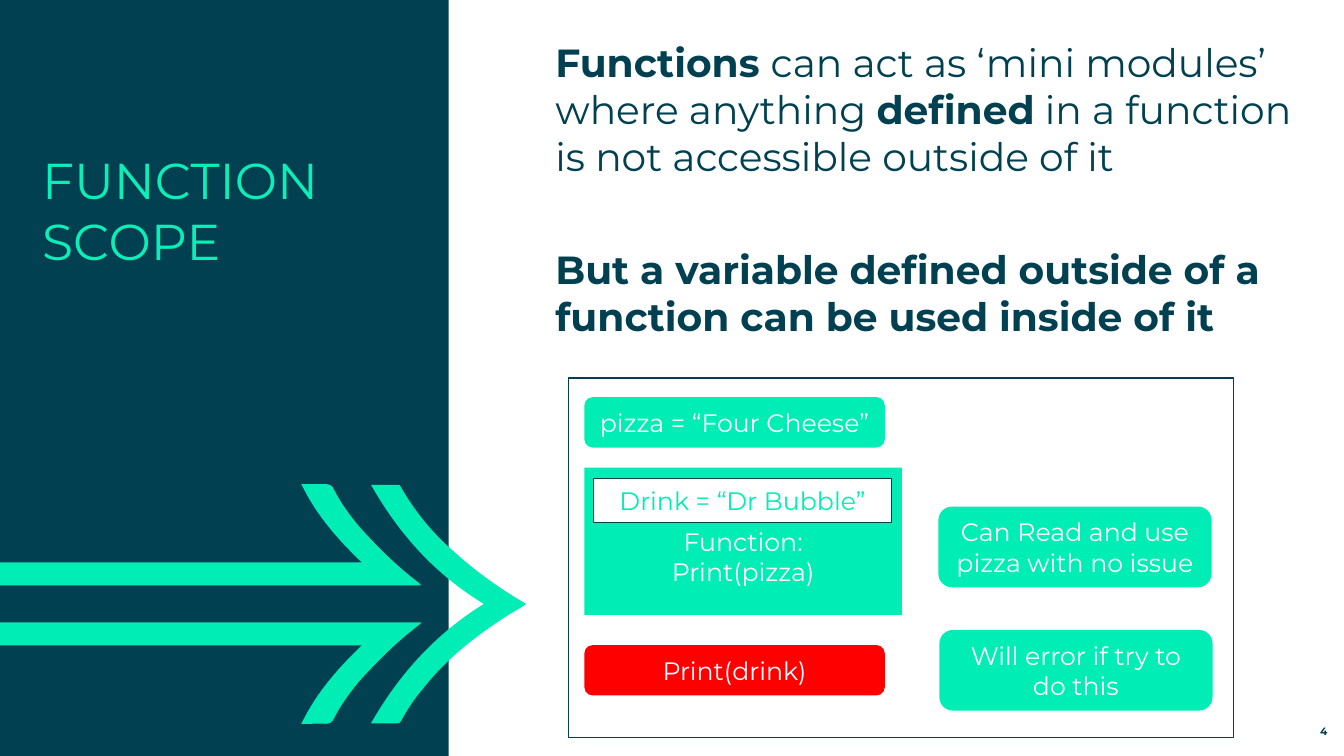
from lxml import etree
from pptx import Presentation
from pptx.dml.color import RGBColor
from pptx.enum.shapes import MSO_SHAPE as SHAPE
from pptx.enum.text import MSO_ANCHOR as ANCHOR, PP_ALIGN as ALIGN
from pptx.oxml.ns import qn
from pptx.util import Pt

NAVY = RGBColor(0x00, 0x40, 0x50)
GREEN = RGBColor(0x00, 0xED, 0xB5)
TITLE_GREEN = RGBColor(0x0B, 0xEE, 0xB7)
RED = RGBColor(0xFF, 0x00, 0x00)
WHITE = RGBColor(0xFF, 0xFF, 0xFF)
FONT = "Montserrat"
AXIS_Y = 431.4
UNITS = 100

prs = Presentation()
prs.slide_width, prs.slide_height = Pt(960), Pt(540)
s = prs.slides.add_slide(prs.slide_layouts[6])


def add_box(kind, box, fill=None, line=None, text="", color=WHITE, top=3.6):
    sp = s.shapes.add_shape(kind, *map(Pt, box))
    sp.shadow.inherit = False
    if fill is None:
        sp.fill.background()
    else:
        sp.fill.solid()
        sp.fill.fore_color.rgb = fill
    if line is None:
        sp.line.fill.background()
    else:
        sp.line.color.rgb = line
        sp.line.width = Pt(1)
    if text:
        tf = sp.text_frame
        tf.text = text
        tf.word_wrap = True
        tf.vertical_anchor = ANCHOR.MIDDLE
        tf.margin_top = Pt(top)
        for p in tf.paragraphs:
            p.alignment = ALIGN.CENTER
            for r in p.runs:
                r.font.size, r.font.name = Pt(18), FONT
                r.font.color.rgb = color


def add_text(box, paragraphs, size, color, align=ALIGN.LEFT, anchor=ANCHOR.TOP, after=0):
    tf = s.shapes.add_textbox(*map(Pt, box)).text_frame
    tf.word_wrap = True
    tf.vertical_anchor = anchor
    tf.margin_left = tf.margin_right = tf.margin_top = tf.margin_bottom = 0
    for i, runs in enumerate(paragraphs):
        p = tf.add_paragraph() if i else tf.paragraphs[0]
        p.alignment, p.space_after = align, Pt(after)
        if i:
            p.space_before = Pt(40.6)
        for text, bold in runs:
            r = p.add_run()
            r.text = text
            r.font.name, r.font.size, r.font.bold = FONT, Pt(size), bold
            r.font.color.rgb = color


add_box(SHAPE.RECTANGLE, (0, 0, 320.4, 540), NAVY)

shaft = [
    [(301, 418.2)], [(-44.6, 418.2)], [(-44.6, 401.8)], [(258.5, 401.8)],
    [(241.2, 385.2), (226, 368), (215.3, 345.8)],
    [(221, 345.7), (227, 346), (232.6, 345.8)],
    [(234.7, 345.6), (237.6, 347), (238.3, 349.2)],
    [(243.4, 359.3), (249.8, 368), (257, 376.6)],
    [(270, 391), (283.7, 404.6), (299, 416.2)],
]
head = [
    [(345.6, AXIS_Y)], [(311, 410.4), (285, 381.6), (265, 346.3)], [(283.7, 346.3)],
    [(285, 346.3), (285.8, 346.4), (285.8, 347)],
    [(296, 365), (309, 381), (324, 393.8)],
    [(339.8, 408.2), (357, 420.5), (375.8, AXIS_Y)],
    [(372.2, 434.2), (368, 436.3), (364.3, 438.5)],
    [(340.6, 453.6), (319, 470.2), (301.7, 492.5)],
    [(296, 499), (290.9, 506.9), (286.6, 514.8)],
    [(285.8, 516.2), (285, 516.9), (283.7, 516.7)], [(265, 516.7)],
    [(285, 481.7), (311, 452.9), (345.6, AXIS_Y)],
]
shaft_below = [[(x, 2 * AXIS_Y - y) for x, y in seg] for seg in shaft]

for outline in (shaft, head, shaft_below):
    pts = [(x * UNITS, y * UNITS) for seg in outline for x, y in seg]
    fb = s.shapes.build_freeform(*pts[0], scale=Pt(1) / UNITS)
    fb.add_line_segments(pts[1:], close=True)
    sp = fb.convert_to_shape()
    sp.shadow.inherit = False
    sp.fill.solid()
    sp.fill.fore_color.rgb = GREEN
    sp.line.fill.background()
    steps = sp.element.findall(".//" + qn("a:lnTo"))
    for seg in outline[1:]:
        parts, steps = steps[:len(seg)], steps[len(seg):]
        if len(seg) == 3:
            curve = etree.Element(qn("a:cubicBezTo"))
            parts[0].addprevious(curve)
            for part in parts:
                curve.append(part[0])
                part.getparent().remove(part)

add_text((886.3, 512.6, 61.9, 14.4), [[("4", True)]], 7.6, NAVY, ALIGN.RIGHT, ANCHOR.BOTTOM)
add_text((30.2, 106.6, 271.4, 216.7), [[("FUNCTION SCOPE", False)]], 36, TITLE_GREEN)
add_text((396.7, 27.4, 532.8, 221.8), [
    [("Functions ", True), ("can act as ‘mini modules’ where anything ", False),
     ("defined", True), (" in a function is not accessible outside of it", False)],
    [("But a variable defined outside of a function can be used inside of it", True)],
], 28, NAVY, after=6.5)

add_box(SHAPE.RECTANGLE, (406.1, 270, 475.2, 257), line=NAVY)
add_box(SHAPE.ROUNDED_RECTANGLE, (417.4, 283.7, 214.6, 36), GREEN,
        text="pizza = “Four Cheese”")
add_box(SHAPE.RECTANGLE, (417.4, 334.1, 226.8, 105.1), GREEN,
        text="Function:\nPrint(pizza)", top=25.6)
add_box(SHAPE.RECTANGLE, (423.9, 341.7, 213.1, 31.7), WHITE, NAVY,
        "Drink = “Dr Bubble”", GREEN)
for box, fill, text in [
    ((670.3, 361.9, 195.1, 57.6), GREEN, "Can Read and use pizza with no issue"),
    ((417.4, 460.8, 214.6, 36), RED, "Print(drink)"),
    ((671, 450, 195.1, 57.6), GREEN, "Will error if try to do this"),
]:
    add_box(SHAPE.ROUNDED_RECTANGLE, box, fill, text=text)

prs.save("out.pptx")
